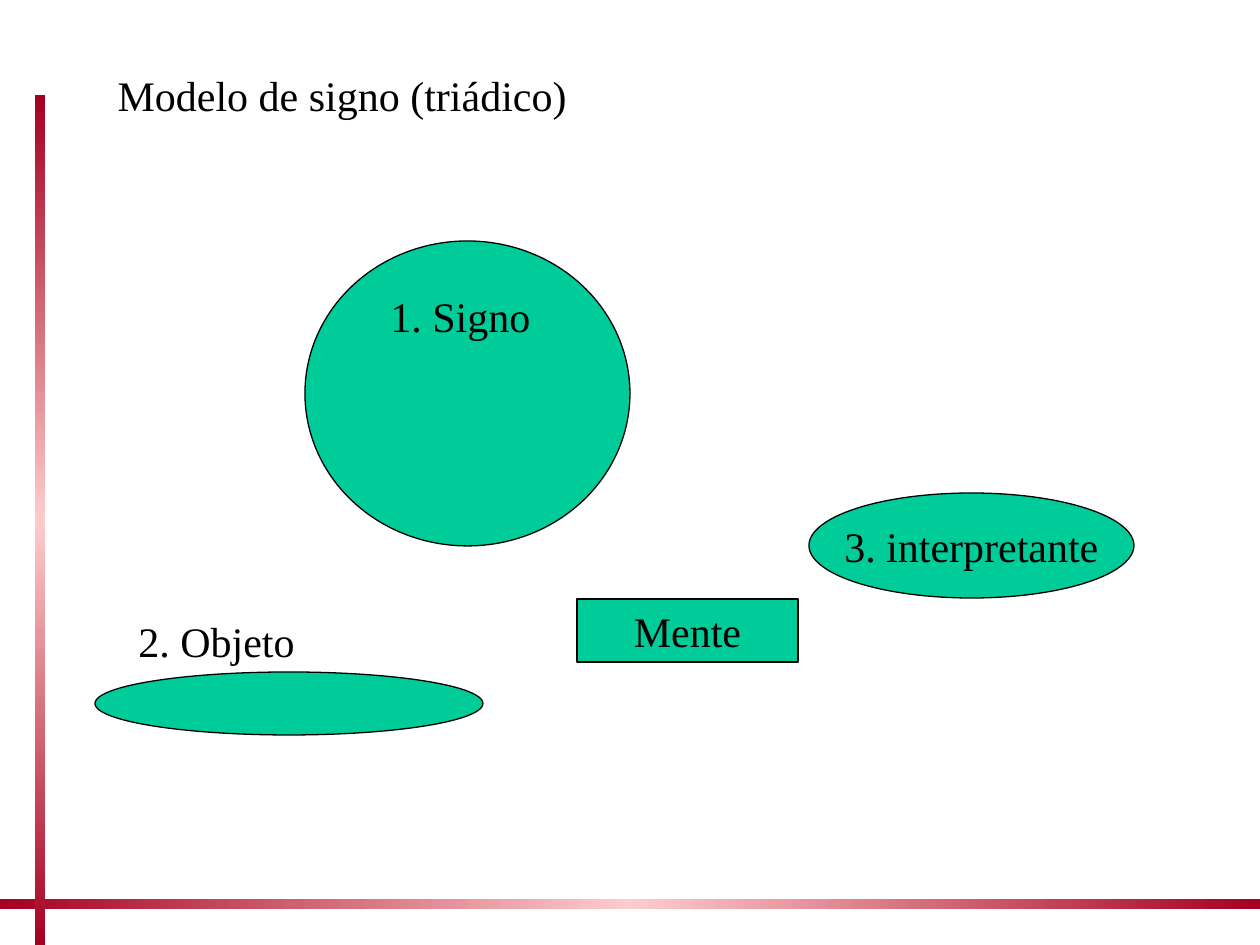
from copy import deepcopy

from pptx import Presentation
from pptx.dml.color import RGBColor
from pptx.enum.shapes import MSO_SHAPE as Shape
from pptx.enum.text import MSO_ANCHOR as Anchor, MSO_AUTO_SIZE as AutoSize, PP_ALIGN as Align
from pptx.util import Emu, Pt

SCALE = 914400 / 126
FONT = "Times New Roman"
BLACK = RGBColor(0x00, 0x00, 0x00)
GREEN = RGBColor(0x00, 0xCC, 0x99)
CRIMSON = RGBColor(0xA5, 0x00, 0x21)
PINK = RGBColor(0xFF, 0xCC, 0xCC)

TITLE = ("Modelo de signo (triádico)", (105, 63, 1081, 63))
BARS = [
    ((0, 899, 1260, 10), 0),
    ((35, 95, 10, 850), 90),
]
FIGURES = [
    (Shape.OVAL, (305, 241, 325, 305), ""),
    (Shape.OVAL, (95, 672, 388, 63), ""),
    (Shape.RECTANGLE, (577, 599, 221, 63), "Mente"),
    (Shape.OVAL, (809, 493, 325, 105), "3. interpretante"),
]
LABELS = [
    ("1. Signo", (378, 284, 189, 63)),
    ("2. Objeto", (126, 609, 315, 63)),
]


def emu(box):
    return [Emu(round(length * SCALE)) for length in box]


def write(shape, text, align=Align.LEFT, anchor=Anchor.TOP, wrap=True):
    frame = shape.text_frame
    frame.auto_size = AutoSize.NONE
    frame.word_wrap = wrap
    frame.vertical_anchor = anchor
    paragraph = frame.paragraphs[0]
    paragraph.alignment = align
    run = paragraph.add_run()
    run.text = text
    run.font.name = FONT
    run.font.size = Pt(24)
    run.font.color.rgb = BLACK


def add_bar(slide, box, angle):
    bar = slide.shapes.add_shape(Shape.RECTANGLE, *emu(box))
    bar.shadow.inherit = False
    bar.line.fill.background()
    bar.fill.gradient()
    bar.fill.gradient_angle = angle
    first = bar.fill.gradient_stops[0]._gs
    first.addnext(deepcopy(first))
    for stop, color, position in zip(
        bar.fill.gradient_stops, (CRIMSON, PINK, CRIMSON), (0, 0.5, 1)
    ):
        stop.color.rgb = color
        stop.position = position


def add_figure(slide, kind, box, text):
    figure = slide.shapes.add_shape(kind, *emu(box))
    figure.shadow.inherit = False
    figure.fill.solid()
    figure.fill.fore_color.rgb = GREEN
    figure.line.color.rgb = BLACK
    figure.line.width = Pt(0.75)
    if text:
        write(figure, text, Align.CENTER, Anchor.MIDDLE, wrap=False)


def main():
    presentation = Presentation()
    presentation.slide_width, presentation.slide_height = emu((1260, 945))
    slide = presentation.slides.add_slide(presentation.slide_layouts[5])

    text, box = TITLE
    title = slide.shapes.title
    title.left, title.top, title.width, title.height = emu(box)
    write(title, text)

    for box, angle in BARS:
        add_bar(slide, box, angle)
    for kind, box, text in FIGURES:
        add_figure(slide, kind, box, text)
    for text, box in LABELS:
        write(slide.shapes.add_textbox(*emu(box)), text)

    presentation.save("out.pptx")


if __name__ == "__main__":
    main()
